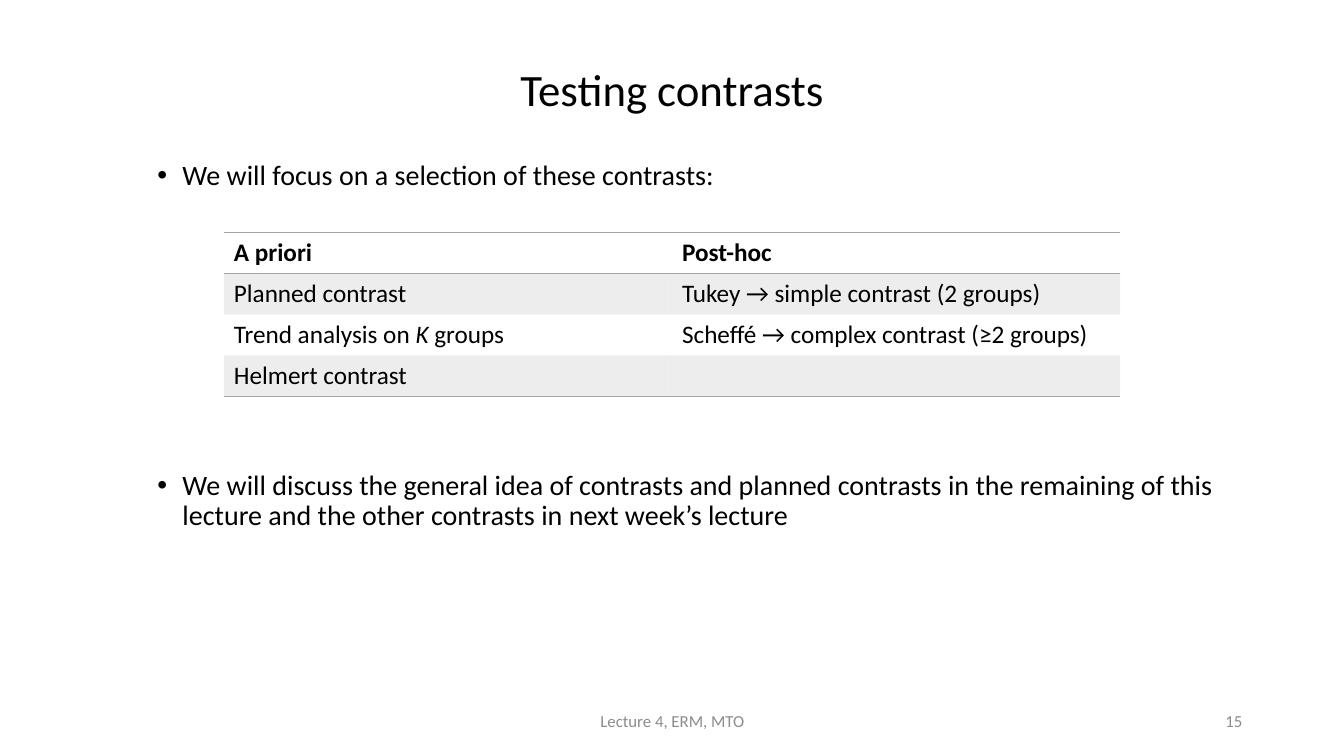
from lxml import etree
from pptx import Presentation, util as u
from pptx.dml.color import RGBColor
from pptx.enum import text as t
from pptx.oxml import ns

WIDTH, HEIGHT = u.Inches(13.33), u.Inches(7.5)
FONT, BLACK, GREY, FOOTER = "Calibri", "000000", "A5A5A5", "8C8C8C"
PLAIN_TABLE = "{2D5ABB26-0587-4C30-8999-92F81FD0307C}"

BULLETS = [
    ("We will focus on a selection of these contrasts:", 10),
    ("We will discuss the general idea of contrasts and planned contrasts in the "
     "remaining of this lecture and the other contrasts in next week’s lecture", 200),
]
# Each cell is a list of runs; every second run is italic
CONTRASTS = [
    [["A priori"], ["Post-hoc"]],
    [["Planned contrast"], ["Tukey → simple contrast (2 groups)"]],
    [["Trend analysis on ", "K", " groups"], ["Scheffé → complex contrast (≥2 groups)"]],
    [["Helmert contrast"], []],
]


def color(code):
    return RGBColor.from_string(code)


def set_all(target, values):
    for name, value in values.items():
        setattr(target, name, value)


def place(shape, left, top, width, height):
    """Place a shape by inches on the slide."""
    set_all(shape, {"left": u.Inches(left), "top": u.Inches(top),
                    "width": u.Inches(width), "height": u.Inches(height)})


def add_run(paragraph, words, size, code=BLACK, **extra):
    run = paragraph.add_run()
    run.text = words
    set_all(run.font, {"name": FONT, "size": u.Pt(size), **extra})
    run.font.color.rgb = color(code)


def setup_frame(shape, anchor):
    frame = shape.text_frame
    set_all(frame, {"word_wrap": True, "auto_size": t.MSO_AUTO_SIZE.NONE,
                    "vertical_anchor": anchor})
    return frame


def add_title(slide, words):
    title = slide.shapes.title
    place(title, 3.74, 0.54, 5.85, 0.74)
    paragraph = setup_frame(title, t.MSO_ANCHOR.MIDDLE).paragraphs[0]
    set_all(paragraph, {"alignment": t.PP_ALIGN.CENTER, "line_spacing": 0.9})
    add_run(paragraph, words, 32)


def add_bullets(slide, bullets):
    body = slide.placeholders[1]
    place(body, 1.46, 1.55, 10.68, 3.39)
    frame = setup_frame(body, t.MSO_ANCHOR.TOP)
    for index, (words, space) in enumerate(bullets):
        paragraph = frame.add_paragraph() if index else frame.paragraphs[0]
        set_all(paragraph, {"line_spacing": 0.9, "space_before": u.Pt(space)})
        properties = paragraph._p.get_or_add_pPr()
        properties.set("marL", str(u.Inches(0.25)))
        properties.set("indent", str(-u.Inches(0.25)))
        bullet = etree.SubElement(properties, ns.qn("a:buChar"))
        bullet.set("char", "•")
        add_run(paragraph, words, 20)


def add_border(cell, side, position):
    line = etree.Element(ns.qn(f"a:{side}"), w=str(u.Pt(1)))
    fill = etree.SubElement(line, ns.qn("a:solidFill"))
    etree.SubElement(fill, ns.qn("a:srgbClr"), val=GREY)
    cell._tc.get_or_add_tcPr().insert(position, line)


def shade(cell):
    cell.fill.solid()
    cell.fill.fore_color.rgb = color(GREY)
    tint = cell._tc.tcPr.find(".//" + ns.qn("a:srgbClr"))
    etree.SubElement(tint, ns.qn("a:alpha"), val="20000")


def add_table(slide, rows):
    frame = slide.shapes.add_table(len(rows), len(rows[0]), u.Inches(2.22), u.Inches(2.31),
                                   u.Inches(8.89), u.Inches(1.62))
    table = frame.table
    table._tbl.tblPr.find(ns.qn("a:tableStyleId")).text = PLAIN_TABLE
    for row_index, row in enumerate(rows):
        for column_index, pieces in enumerate(row):
            cell = table.cell(row_index, column_index)
            for piece_index, words in enumerate(pieces):
                add_run(cell.text_frame.paragraphs[0], words, 18,
                        bold=row_index == 0, italic=piece_index % 2 == 1)
            # Bands on odd rows, rules around the header and below the last row
            if row_index % 2:
                shade(cell)
            else:
                cell.fill.background()
            if row_index in (0, len(rows) - 1):
                add_border(cell, "lnB", 0)
            if row_index == 0:
                add_border(cell, "lnT", 0)


def add_footer(slide, words, left, width, alignment):
    box = slide.shapes.add_textbox(0, 0, 0, 0)
    place(box, left, 6.95, width, 0.4)
    paragraph = setup_frame(box, t.MSO_ANCHOR.MIDDLE).paragraphs[0]
    paragraph.alignment = alignment
    add_run(paragraph, words, 12, FOOTER)


def main():
    presentation = Presentation()
    set_all(presentation, {"slide_width": WIDTH, "slide_height": HEIGHT})
    slide = presentation.slides.add_slide(presentation.slide_layouts[1])

    # Title and list
    add_title(slide, "Testing contrasts")
    add_bullets(slide, BULLETS)

    # Table of contrasts
    add_table(slide, CONTRASTS)

    # Footer
    add_footer(slide, "Lecture 4, ERM, MTO", 4.42, 4.5, t.PP_ALIGN.CENTER)
    add_footer(slide, "15", 9.42, 3, t.PP_ALIGN.RIGHT)

    presentation.save("out.pptx")


if __name__ == "__main__":
    main()
